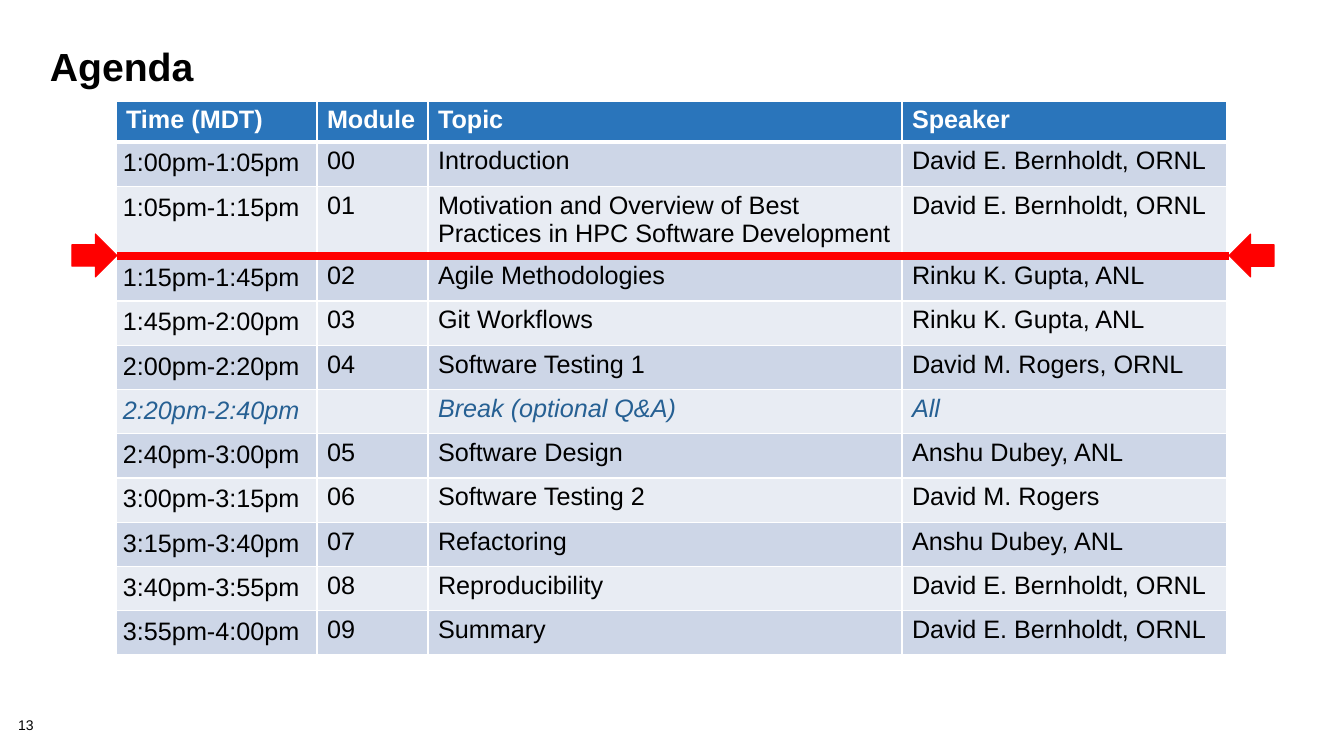
from lxml import etree
from pptx import Presentation
from pptx.dml.color import RGBColor
from pptx.enum.shapes import MSO_CONNECTOR, MSO_SHAPE
from pptx.oxml.ns import qn
from pptx.util import Emu, Pt

STRAIGHT = MSO_CONNECTOR.STRAIGHT
RIGHT_ARROW = MSO_SHAPE.RIGHT_ARROW

PX_PER_INCH = 100.8
COLORS = {
    "black": "000000",
    "white": "FFFFFF",
    "header": "2A75BB",
    "odd": "CDD6E7",
    "even": "E8ECF3",
    "break": "266093",
    "marker": "FF0000",
}
COLUMN_WIDTHS = [201, 111, 474, 325]
ROW_HEIGHT = 41
HEADER = ["Time (MDT)", "Module", "Topic", "Speaker"]
SESSIONS = [
    ["1:00pm-1:05pm", "00", "Introduction", "David E. Bernholdt, ORNL"],
    ["1:05pm-1:15pm", "01",
     "Motivation and Overview of Best Practices in HPC Software Development",
     "David E. Bernholdt, ORNL"],
    ["1:15pm-1:45pm", "02", "Agile Methodologies", "Rinku K. Gupta, ANL"],
    ["1:45pm-2:00pm", "03", "Git Workflows", "Rinku K. Gupta, ANL"],
    ["2:00pm-2:20pm", "04", "Software Testing 1", "David M. Rogers, ORNL"],
    ["2:20pm-2:40pm", "", "Break (optional Q&A)", "All"],
    ["2:40pm-3:00pm", "05", "Software Design", "Anshu Dubey, ANL"],
    ["3:00pm-3:15pm", "06", "Software Testing 2", "David M. Rogers"],
    ["3:15pm-3:40pm", "07", "Refactoring", "Anshu Dubey, ANL"],
    ["3:40pm-3:55pm", "08", "Reproducibility", "David E. Bernholdt, ORNL"],
    ["3:55pm-4:00pm", "09", "Summary", "David E. Bernholdt, ORNL"],
]


def px(n):
    return Emu(round(n * 914400 / PX_PER_INCH))


def rgb(name):
    return RGBColor.from_string(COLORS[name])


def set_attrs(obj, values):
    for name, value in values.items():
        setattr(obj, name, value)


def write(tf, text, color, **font):
    p = tf.paragraphs[0]
    set_attrs(p.font, {"name": "Arial", **font})
    if text:
        r = p.add_run()
        r.text = text
        set_attrs(r.font, {"name": "Arial", **font})
        r.font.color.rgb = rgb(color)
    return p


def add_label(s, box, text, inset, spacing, **font):
    sp = s.shapes.add_textbox(*map(px, box))
    tf = sp.text_frame
    tf.word_wrap = True
    if not inset:
        set_attrs(tf, dict.fromkeys(
            ["margin_left", "margin_top", "margin_right", "margin_bottom"], 0))
    write(tf, text, "black", **font).line_spacing = spacing


def set_borders(cell, top, bottom):
    """Draw white cell edges; top and bottom are widths in points."""
    tc_pr = cell._tc.get_or_add_tcPr()
    widths = {"lnL": 1, "lnR": 1, "lnT": top, "lnB": bottom}
    for i, (tag, width) in enumerate(widths.items()):
        ln = etree.Element(qn(f"a:{tag}"), w=str(Pt(width)))
        fill = etree.SubElement(ln, qn("a:solidFill"))
        etree.SubElement(fill, qn("a:srgbClr"), val=COLORS["white"])
        tc_pr.insert(i, ln)


def row_style(i):
    """Return the fill, text colour and font values of table row i."""
    if i == 0:
        return "header", "white", {"bold": True, "italic": False}
    is_break = SESSIONS[i - 1][1] == ""
    return ("odd" if i % 2 else "even", "break" if is_break else "black",
            {"bold": False, "italic": is_break})


def add_agenda(s, left, top):
    rows = [HEADER] + SESSIONS
    table = s.shapes.add_table(
        len(rows), len(HEADER), px(left), px(top),
        px(sum(COLUMN_WIDTHS)), px(ROW_HEIGHT * len(rows))).table
    for column, width in zip(table.columns, COLUMN_WIDTHS):
        column.width = px(width)
    for i, texts in enumerate(rows):
        table.rows[i].height = px(ROW_HEIGHT)
        fill, color, font = row_style(i)
        for j, text in enumerate(texts):
            cell = table.cell(i, j)
            cell.fill.solid()
            cell.fill.fore_color.rgb = rgb(fill)
            set_borders(cell, top=3 if i == 1 else 1, bottom=3 if i == 0 else 1)
            if i and j == 0:
                set_attrs(cell, dict.fromkeys(
                    ["margin_left", "margin_top", "margin_right", "margin_bottom"],
                    px(7)))
            write(cell.text_frame, text, color, size=Pt(18), **font)


def add_arrow(group, box, rotation):
    sp = group.shapes.add_shape(RIGHT_ARROW, *map(px, box))
    sp.shadow.inherit = False
    sp.rotation = rotation
    sp.fill.solid()
    sp.fill.fore_color.rgb = rgb("marker")
    sp.line.color.rgb = rgb("marker")
    sp.line.width = Pt(0.75)


def add_marker(s, left, right, y):
    """Draw the red line across the agenda with an arrow at each end."""
    width, height = 45, 43
    group = s.shapes.add_group_shape()
    line = group.shapes.add_connector(STRAIGHT, px(left), px(y), px(right), px(y))
    line.line.color.rgb = rgb("marker")
    line.line.width = Pt(6)
    etree.SubElement(line._element.spPr, qn("a:effectLst"))
    for x, rotation in [(left - width, 0), (right, 180)]:
        add_arrow(group, (x, y - height // 2 - 1, width, height), rotation)


def main():
    prs = Presentation()
    prs.slide_width, prs.slide_height = px(1344), px(756)
    s = prs.slides.add_slide(prs.slide_layouts[6])
    add_label(s, (18, 718, 56, 16), "13", False, 0.9, size=Pt(10))
    add_label(s, (40, 45, 1254, 101), "Agenda", True, 0.85, size=Pt(28), bold=True)
    add_agenda(s, 116, 101)
    add_marker(s, 117, 1229, 256)
    prs.save("out.pptx")


if __name__ == "__main__":
    main()
